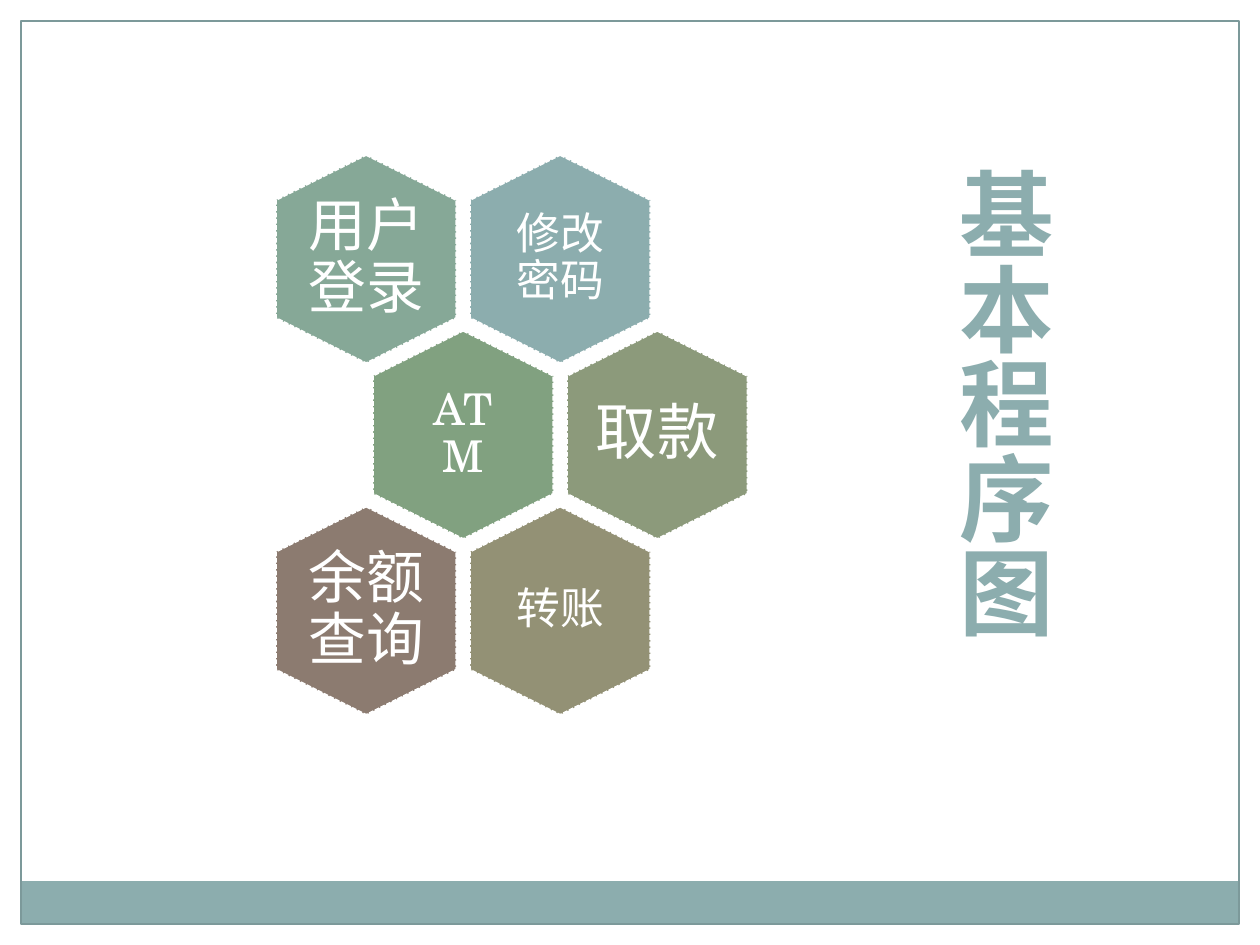
import pptx
import pptx.util
import pptx.dml.color
import pptx.enum.dml
import pptx.enum.shapes
import pptx.enum.text
import pptx.oxml.ns
import lxml.etree

Pt = pptx.util.Pt
RGB = pptx.dml.color.RGBColor
SHAPE = pptx.enum.shapes.MSO_SHAPE
ALIGN = pptx.enum.text.PP_ALIGN
ANCHOR = pptx.enum.text.MSO_ANCHOR
FIT = pptx.enum.text.MSO_AUTO_SIZE
DASH = pptx.enum.dml.MSO_LINE_DASH_STYLE

WHITE = RGB(0xFF, 0xFF, 0xFF)
TEAL = RGB(0x8C, 0xAD, 0xAE)
SLATE = RGB(0x7C, 0x99, 0x9A)
MINT = RGB(0x86, 0xA8, 0x97)
GREEN = RGB(0x81, 0xA1, 0x80)
SAGE = RGB(0x8C, 0x9A, 0x7B)
OLIVE = RGB(0x93, 0x91, 0x75)
BROWN = RGB(0x8C, 0x7B, 0x70)

SERIF = "TeX Gyre Schola"
SANS = "Noto Sans CJK SC"

LEFT, TOP = 149.8, 96.5
STEP_X, STEP_Y = 55.45, 100.5
HEX_W, HEX_H = 118.8, 103
TEXT_W, TEXT_H = 71.3, 81.4

CELLS = [
    ("修改密码", 2, 0, TEAL, 25, 7.2),
    ("用户登录", 0, 0, MINT, 33, 0),
    ("ATM", 1, 1, GREEN, 25, 7.2),
    ("取款", 3, 1, SAGE, 35, 0),
    ("转账", 2, 2, OLIVE, 25, 7.2),
    ("余额查询", 0, 2, BROWN, 33, 0),
]


def place(box):
    return [Pt(v) for v in box]


def style(run, face, size, color, bold=False):
    font = run.font
    font.name = face
    font.size = Pt(size)
    font.bold = bold
    font.color.rgb = color
    props = run._r.get_or_add_rPr()
    east = lxml.etree.SubElement(props, pptx.oxml.ns.qn("a:ea"))
    east.set("typeface", face)


def add_shape(slide, kind, box, fill=None, line=None, width=0.75):
    shape = slide.shapes.add_shape(kind, *place(box))
    shape.shadow.inherit = False
    if fill is None:
        shape.fill.background()
    else:
        shape.fill.solid()
        shape.fill.fore_color.rgb = fill
    if line is None:
        shape.line.fill.background()
    else:
        shape.line.color.rgb = line
        shape.line.width = Pt(width)
    return shape


def add_label(slide, text, box, size, inset):
    frame = slide.shapes.add_textbox(*place(box)).text_frame
    frame.word_wrap = True
    frame.vertical_anchor = ANCHOR.MIDDLE
    frame.margin_left = frame.margin_right = Pt(inset)
    frame.margin_top = frame.margin_bottom = Pt(inset)
    frame.text = text
    para = frame.paragraphs[0]
    para.alignment = ALIGN.CENTER
    para.line_spacing = 0.9
    style(para.runs[0], SERIF, size, WHITE)


def add_cell(slide, text, col, row, color, size, inset):
    x = LEFT + col * STEP_X
    y = TOP + row * STEP_Y
    tile = add_shape(slide, SHAPE.HEXAGON, (x, y, HEX_W, HEX_H), color, WHITE, 0.9)
    tile.adjustments[0] = 0.25
    tile.rotation = 90
    tile.line.dash_style = DASH.SQUARE_DOT
    inner = (x + (HEX_W - TEXT_W) / 2, y + (HEX_H - TEXT_H) / 2, TEXT_W, TEXT_H)
    add_label(slide, text, inner, size, inset)


def set_title(slide, text, box):
    title = slide.shapes.title
    title.left, title.top, title.width, title.height = place(box)
    frame = title.text_frame
    frame.auto_size = FIT.NONE
    frame.word_wrap = True
    frame.vertical_anchor = ANCHOR.MIDDLE
    frame._txBody.bodyPr.set("vert", "eaVert")
    frame.text = text
    para = frame.paragraphs[0]
    para.alignment = ALIGN.LEFT
    style(para.runs[0], SANS, 54, TEAL, True)


def main():
    deck = pptx.Presentation()
    deck.slide_width, deck.slide_height = Pt(720), Pt(540)
    slide = deck.slides.add_slide(deck.slide_layouts[5])
    add_shape(slide, SHAPE.RECTANGLE, (12, 503.5, 696, 24.5), TEAL)
    add_shape(slide, SHAPE.RECTANGLE, (12, 12, 696, 516), line=SLATE)
    for cell in CELLS:
        add_cell(slide, *cell)
    set_title(slide, "基本程序图", (533.5, 92.2, 80, 355.7))
    deck.save("out.pptx")


if __name__ == "__main__":
    main()
